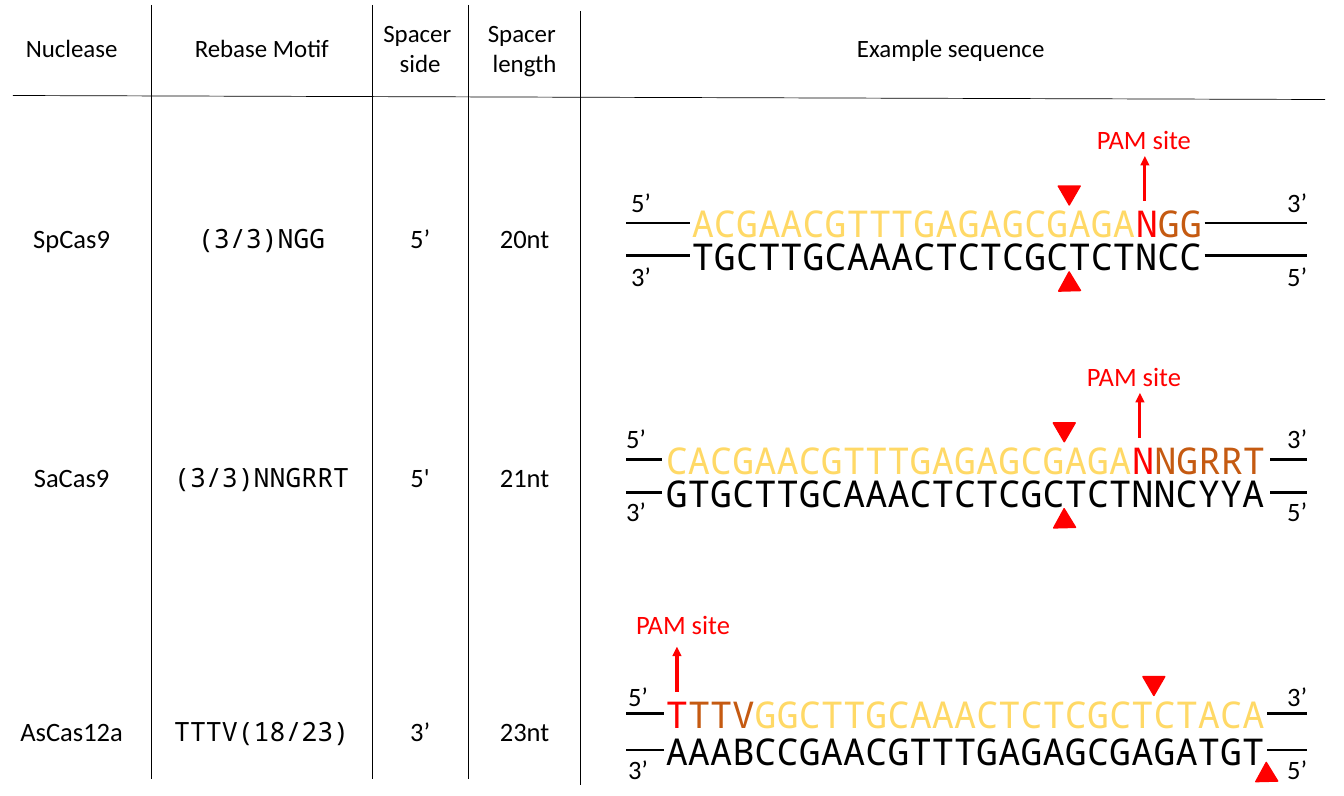
from dataclasses import dataclass

from lxml import etree
from pptx import Presentation
from pptx.dml.color import RGBColor
from pptx.enum.shapes import MSO_CONNECTOR as Link, MSO_SHAPE as Preset
from pptx.enum.text import MSO_AUTO_SIZE as Fit, PP_ALIGN as Align
from pptx.oxml.ns import qn
from pptx.util import Inches, Pt

BLACK, RED, GOLD, RUST = "000000", "FF0000", "FFD966", "C55A11"
SANS, MONO = "Calibri", "Noto Sans Mono"


@dataclass
class Column:
    title: str
    mid: float
    head_w: float
    cell_w: float = 0
    font: str = SANS


@dataclass
class Row:
    cells: list[str]
    cell_y: float
    top: list[tuple[str, str]]  # text and colour of each part
    base: str
    x: float
    y: float
    width: float
    gap: float  # between the two strands
    left: float  # inner ends of the strand lines
    right: float
    end_x: float
    end_y: float
    pam_x: float
    pam_y: float
    arrow: float
    cuts: tuple[float, float]


COLUMNS = [
    Column("Nuclease", 0.72, 1.13, 1.4),
    Column("Rebase Motif", 2.63, 1.56, 2.0, MONO),
    Column("Spacer \nside", 4.22, 0.95, 1.18),
    Column("Spacer \nlength", 5.27, 0.95, 0.96),
    Column("Example sequence", 9.55, 2.11),
]
ROWS = [
    Row(["SpCas9", "(3/3)NGG", "5’", "20nt"], 2.18,
        [("ACGAACGTTTGAGAGCGAGA", GOLD), ("N", RED), ("GG", RUST)],
        "TGCTTGCAAACTCTCGCTCTNCC",
        x=6.85, y=1.97, width=5.45, gap=0.33, left=6.93, right=12.1,
        end_x=6.24, end_y=1.82, pam_x=10.92, pam_y=1.19, arrow=11.5,
        cuts=(10.63, 10.66)),
    Row(["SaCas9", "(3/3)NNGRRT", "5'", "21nt"], 4.58,
        [("CACGAACGTTTGAGAGCGAGA", GOLD), ("N", RED), ("NGRRT", RUST)],
        "GTGCTTGCAAACTCTCGCTCTNNCYYA",
        x=6.59, y=4.35, width=6.3, gap=0.33, left=6.65, right=12.76,
        end_x=6.19, end_y=4.19, pam_x=10.82, pam_y=3.57, arrow=11.45,
        cuts=(10.58, 10.61)),
    Row(["AsCas12a", "TTTV(18/23)", "3’", "23nt"], 7.14,
        [("T", RED), ("TTV", RUST), ("GGCTTGCAAACTCTCGCTCTACA", GOLD)],
        "AAABCCGAACGTTTGAGAGCGAGATGT",
        x=6.59, y=6.9, width=6.3, gap=0.37, left=6.67, right=12.73,
        end_x=6.21, end_y=6.78, pam_x=6.29, pam_y=6.06, arrow=6.8,
        cuts=(11.48, 12.64)),
]

deck = Presentation()
deck.slide_width, deck.slide_height = Inches(13.5), Inches(8)
slide = deck.slides.add_slide(deck.slide_layouts[6])


def paint(hue: str) -> RGBColor:
    return RGBColor.from_string(hue)


def write(parts: list[tuple[str, str]], x: float, y: float, w: float, h: float,
          size: float = 19.2, font: str = SANS, mid: bool = False,
          wrap: bool = True) -> None:
    frame = slide.shapes.add_textbox(
        Inches(x), Inches(y), Inches(w), Inches(h)).text_frame
    frame.word_wrap = wrap
    frame.auto_size = Fit.SHAPE_TO_FIT_TEXT
    frame.text = parts[0][0]
    for text, _ in parts[1:]:
        frame.paragraphs[0].add_run().text = text
    for para in frame.paragraphs:
        para.alignment = Align.CENTER if mid else Align.LEFT
        for run, (_, hue) in zip(para.runs, parts):
            run.font.size, run.font.name = Pt(size), font
            run.font.color.rgb = paint(hue)


def rule(x1: float, y1: float, x2: float, y2: float, width: float,
         hue: str = BLACK, head: bool = False) -> None:
    link = slide.shapes.add_connector(
        Link.STRAIGHT, Inches(x1), Inches(y1), Inches(x2), Inches(y2))
    link.line.width = Pt(width)
    link.line.color.rgb = paint(hue)
    if head:
        etree.SubElement(link.line._get_or_add_ln(), qn("a:tailEnd"), type="triangle")
    etree.SubElement(link._element.spPr, qn("a:effectLst"))


def cut(x: float, y: float, turn: float) -> None:
    mark = slide.shapes.add_shape(
        Preset.ISOSCELES_TRIANGLE, Inches(x), Inches(y), Inches(0.22), Inches(0.19))
    mark.rotation = turn
    mark.shadow.inherit = False
    mark.fill.solid()
    mark.fill.fore_color.rgb = paint(RED)
    mark.line.color.rgb = paint(RED)
    mark.line.width = Pt(1)


def duplex(row: Row) -> None:
    # Strands with their lines and end labels
    strands = [(row.top, "5’", "3’"), ([(row.base, BLACK)], "3’", "5’")]
    for i, (parts, start, end) in enumerate(strands):
        y = row.y + i * row.gap
        write(parts, row.x, y, row.width, 0.55, 26.7, MONO)
        for x1, x2 in ((6.29, row.left), (row.right, 13.13)):
            rule(x1, y + 0.27, x2, y + 0.27, 1.75)
        for text, x in ((start, row.end_x), (end, 12.83)):
            write([(text, BLACK)], x, row.end_y + i * 0.74, 0.48, 0.42)

    # PAM site and cut marks
    rule(row.arrow, row.y + 0.05, row.arrow, row.y - 0.4, 2.25, RED, True)
    write([("PAM site", RED)], row.pam_x, row.pam_y, 1.85, 0.42)
    for i, (x, turn) in enumerate(zip(row.cuts, (180, 118.6))):
        cut(x, row.y - 0.1 + i * 0.91, turn)


# Table rules
for x, y in ((1.52, 0.05), (3.74, 0.05), (4.7, 0.05), (5.83, 0.11)):
    rule(x, y, x, y + 7.78, 0.5)
rule(13.31, 1, 0.13, 0.96, 0.5)

# Headings
for col in COLUMNS:
    high = 0.71 if "\n" in col.title else 0.4
    write([(col.title, BLACK)], col.mid - col.head_w / 2, 0.48 - high / 2,
          col.head_w, high, 18, mid=True, wrap=False)

# Nuclease rows
for row in ROWS:
    for col, text in zip(COLUMNS, row.cells):
        write([(text, BLACK)], col.mid - col.cell_w / 2, row.cell_y,
              col.cell_w, 0.42, font=col.font, mid=True)
    duplex(row)

deck.save("out.pptx")
